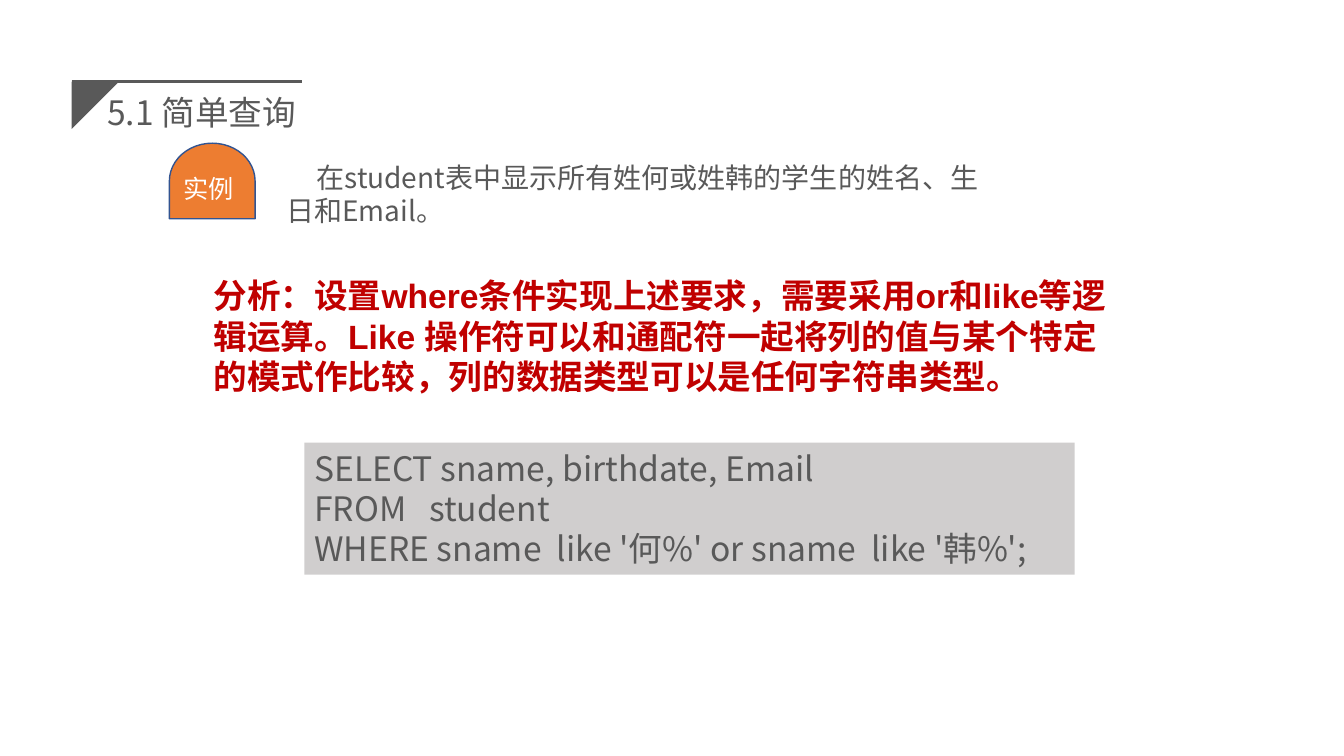
from lxml import etree
from pptx import Presentation
from pptx.dml.color import RGBColor
from pptx.enum.shapes import MSO_CONNECTOR, MSO_SHAPE
from pptx.enum.text import MSO_ANCHOR, PP_ALIGN
from pptx.oxml.ns import qn
from pptx.util import Inches, Pt

GRAY = RGBColor(0x59, 0x59, 0x59)
PANEL = RGBColor(0xD0, 0xCE, 0xCE)
ORANGE = RGBColor(0xED, 0x7D, 0x31)
BLUE = RGBColor(0x32, 0x54, 0x91)
WHITE = RGBColor(0xFF, 0xFF, 0xFF)
RED = RGBColor(0xC0, 0x00, 0x00)
CJK_FONT = "Noto Sans CJK SC"
LATIN_FONT = "Arial"
RECTANGLE = MSO_SHAPE.RECTANGLE
DELAY = MSO_SHAPE.FLOWCHART_DELAY
STRAIGHT = MSO_CONNECTOR.STRAIGHT
LEFT, CENTER = PP_ALIGN.LEFT, PP_ALIGN.CENTER
TOP, MIDDLE = MSO_ANCHOR.TOP, MSO_ANCHOR.MIDDLE

QUESTION = "在student表中显示所有姓何或姓韩的学生的姓名、生日和Email。"
ANALYSIS = (
    "分析：设置where条件实现上述要求，需要采用or和like等逻辑运算。"
    "Like 操作符可以和通配符一起将列的值与某个特定的模式作比较，"
    "列的数据类型可以是任何字符串类型。"
)
QUERY = (
    "SELECT sname, birthdate, Email\n"
    "FROM   student\n"
    "WHERE sname  like '何%' or sname  like '韩%';"
)


def write_text(shape, text, size, color, font=CJK_FONT, bold=False,
               align=LEFT, anchor=TOP, indent=0):
    """Fill a shape with wrapped text in one style."""
    frame = shape.text_frame
    frame.word_wrap = True
    frame.vertical_anchor = anchor
    frame.text = text
    for para in frame.paragraphs:
        para.alignment = align
        if indent:
            properties = para._p.get_or_add_pPr()
            properties.set("marL", "0")
            properties.set("indent", str(Inches(indent)))
        for span in para.runs:
            span.font.size = Pt(size)
            span.font.bold = bold
            span.font.color.rgb = color
            span.font.name = font
            east_asian = etree.SubElement(span.font._element, qn("a:ea"))
            east_asian.set("typeface", CJK_FONT)


def add_text(page, left, top, width, height, text, size, color, **style):
    """Add a text box."""
    box = page.shapes.add_textbox(
        Inches(left), Inches(top), Inches(width), Inches(height))
    write_text(box, text, size, color, **style)


def add_filled_shape(page, kind, left, top, width, height, fill):
    """Add a plain preset shape without line or shadow."""
    shape = page.shapes.add_shape(
        kind, Inches(left), Inches(top), Inches(width), Inches(height))
    shape.shadow.inherit = False
    shape.fill.solid()
    shape.fill.fore_color.rgb = fill
    shape.line.fill.background()
    return shape


def add_heading(page, left, top, width):
    """Add the section title with its corner and rule."""
    add_text(page, left + 0.12, top - 0.12, 2.34, 0.84, "5.1 简单查询", 24, GRAY,
             align=CENTER, anchor=MIDDLE, indent=-0.62)
    side = 0.47
    outline = page.shapes.build_freeform(Inches(left), Inches(top))
    outline.add_line_segments([
        (Inches(left + side), Inches(top)),
        (Inches(left), Inches(top + side)),
    ])
    corner = outline.convert_to_shape()
    corner.shadow.inherit = False
    corner.fill.solid()
    corner.fill.fore_color.rgb = GRAY
    corner.line.fill.background()
    rule = page.shapes.add_connector(
        STRAIGHT, Inches(left), Inches(top), Inches(left + width), Inches(top))
    rule.line.color.rgb = GRAY
    rule.line.width = Pt(1.75)
    etree.SubElement(rule._element.spPr, qn("a:effectLst"))


def add_badge(page, left, top):
    """Add the arched example badge and its label."""
    arch = add_filled_shape(page, DELAY, left, top, 0.75, 0.85, ORANGE)
    arch.rotation = 270
    arch.line.color.rgb = BLUE
    arch.line.width = Pt(1)
    add_text(page, left - 0.01, top + 0.3, 0.93, 0.4, "实例", 18, WHITE)


def add_query(page, left, top, width, height):
    """Add the SQL statement on its gray panel."""
    panel = add_filled_shape(page, RECTANGLE, left, top, width, height, PANEL)
    write_text(panel, QUERY, 24, GRAY)


def main():
    """Build the slide and save the deck."""
    deck = Presentation()
    deck.slide_width, deck.slide_height = Inches(13.33), Inches(7.5)
    page = deck.slides.add_slide(deck.slide_layouts[6])
    add_text(page, 2.74, 1.54, 7.22, 1.24, QUESTION, 20, GRAY, indent=0.3)
    add_query(page, 3.02, 4.39, 7.64, 1.31)
    add_heading(page, 0.71, 0.81, 2.29)
    add_badge(page, 1.73, 1.37)
    add_text(page, 2.02, 2.68, 9.13, 1.31, ANALYSIS, 24, RED,
             font=LATIN_FONT, bold=True)
    deck.save("out.pptx")


if __name__ == "__main__":
    main()
